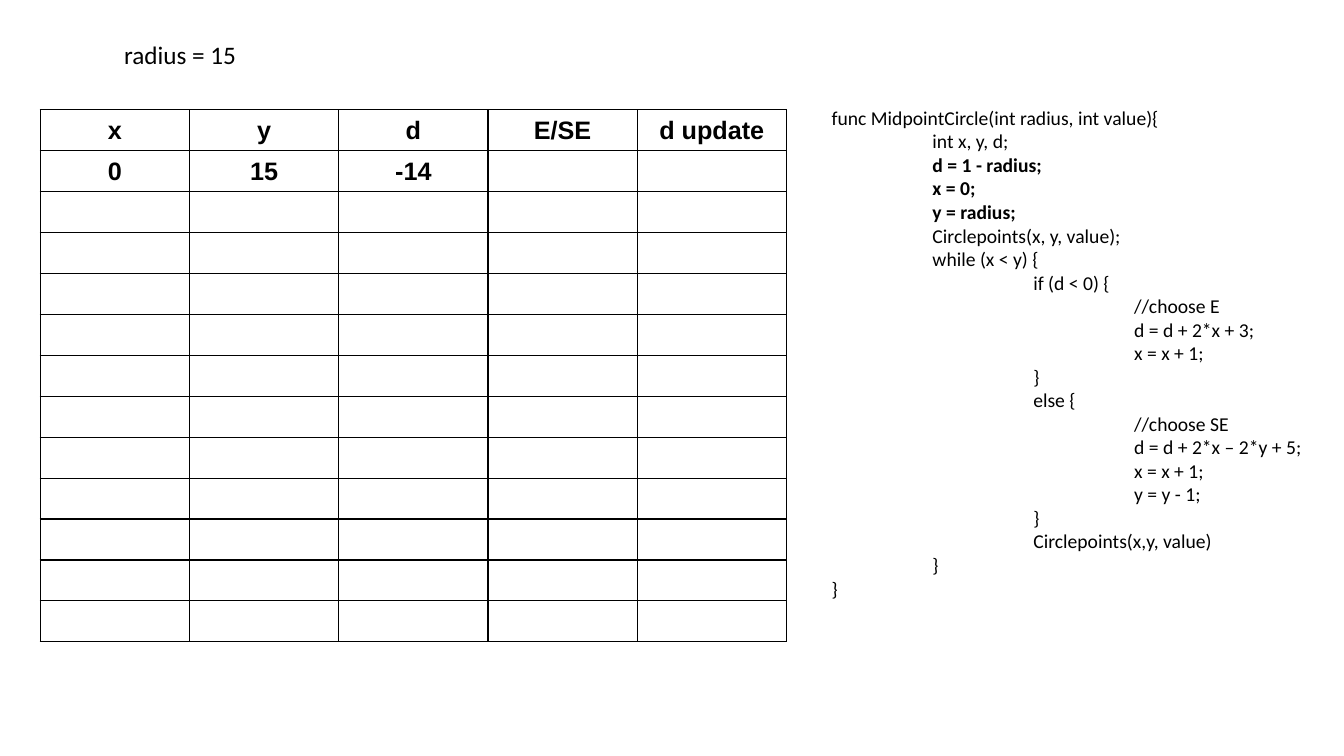
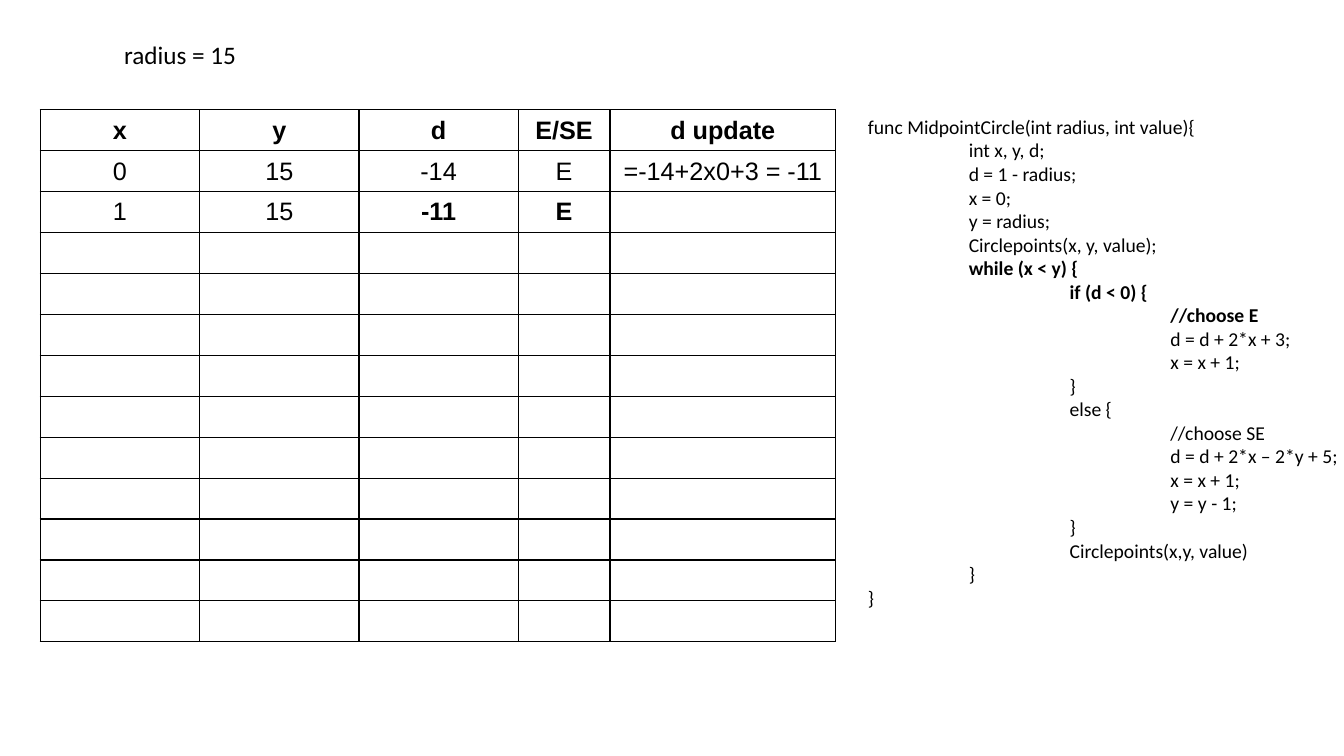
from lxml import etree
from pptx import Presentation
from pptx.dml.color import RGBColor
from pptx.enum import text
from pptx.oxml import ns
from pptx.util import Inches, Pt

BLACK = "000000"
CODE_FONT, TABLE_FONT = "Calibri", "Arial"
TITLE = "radius = 15"
HEADER = ["x", "y", "d", "E/SE", "d update"]
ROW_COUNT, TABLE_HEIGHT = 13, 5.28
CODE_TABS = [1, 2, 3]
CODE = """func MidpointCircle(int radius, int value){
\tint x, y, d;
\td = 1 - radius;
\tx = 0;
\ty = radius;
\tCirclepoints(x, y, value);
\twhile (x < y) {
\t\tif (d < 0) {
\t\t\t//choose E
\t\t\td = d + 2*x + 3;
\t\t\tx = x + 1;
\t\t}
\t\telse {
\t\t\t//choose SE
\t\t\td = d + 2*x – 2*y + 5;
\t\t\tx = x + 1;
\t\t\ty = y - 1;
\t\t}
\t\tCirclepoints(x,y, value)
\t}
}""".split("\n")

# Bold cells are (row, column); bold lines are indexes into CODE.
STEPS = [
    {
        "columns": [1.48] * 5,
        "rows": [["0", "15", "-14"]],
        "bold_cells": {(1, 0), (1, 1), (1, 2)},
        "code_at": (8.15, 1.0),
        "bold_lines": range(2, 5),
    },
    {
        "columns": [1.58, 1.58, 1.58, 0.91, 2.24],
        "rows": [["0", "15", "-14", "E", "=-14+2x0+3 = -11"],
                 ["1", "15", "-11", "E"]],
        "bold_cells": {(2, 2), (2, 3)},
        "code_at": (8.51, 1.09),
        "bold_lines": range(6, 9),
    },
]


def color(value):
    return RGBColor.from_string(value)


def format_paragraph(paragraph, font_name, size, bold=False):
    font = paragraph.font
    font.name, font.size, font.bold = font_name, Pt(size), bold
    font.color.rgb = color(BLACK)


def add_tab_stops(paragraph):
    properties = paragraph._p.get_or_add_pPr()
    tab_list = etree.SubElement(properties, ns.qn("a:tabLst"))
    for position in CODE_TABS:
        etree.SubElement(tab_list, ns.qn("a:tab"), pos=str(Inches(position)), algn="l")


def add_borders(cell):
    properties = cell._tc.get_or_add_tcPr()
    for side in ("lnL", "lnR", "lnT", "lnB"):
        line = etree.SubElement(properties, ns.qn(f"a:{side}"), w=str(Pt(1)))
        fill = etree.SubElement(line, ns.qn("a:solidFill"))
        etree.SubElement(fill, ns.qn("a:srgbClr"), val=BLACK)


def set_title(slide):
    title = slide.shapes.title
    title.left, title.top = Inches(1.13), Inches(0.34)
    title.width, title.height = Inches(1.33), Inches(0.4)
    frame = title.text_frame
    frame.text = TITLE
    frame.word_wrap = False
    frame.auto_size = text.MSO_AUTO_SIZE.NONE
    frame.vertical_anchor = text.MSO_ANCHOR.TOP
    paragraph = frame.paragraphs[0]
    paragraph.alignment = text.PP_ALIGN.LEFT
    format_paragraph(paragraph, CODE_FONT, 18)


def add_code(slide, position, bold_lines):
    left, top = position
    box = slide.shapes.add_textbox(Inches(left), Inches(top), Inches(5.12), Inches(5.28))
    frame = box.text_frame
    frame.word_wrap = True
    frame.text = "\n".join(CODE)
    for index, paragraph in enumerate(frame.paragraphs):
        add_tab_stops(paragraph)
        format_paragraph(paragraph, CODE_FONT, 14, index in bold_lines)


def add_trace_table(slide, columns, rows, bold_cells):
    frame = slide.shapes.add_table(ROW_COUNT, len(columns), Inches(0.4), Inches(1.09),
                                   Inches(sum(columns)), Inches(TABLE_HEIGHT))
    table = frame.table
    table.first_row = table.horz_banding = False
    for column, width in zip(table.columns, columns):
        column.width = Inches(width)
    values = [HEADER] + rows
    for row_index, row in enumerate(table.rows):
        row_values = values[row_index] if row_index < len(values) else []
        for column_index, cell in enumerate(row.cells):
            add_borders(cell)
            cell.fill.background()
            cell.vertical_anchor = text.MSO_ANCHOR.MIDDLE
            if column_index < len(row_values):
                cell.text = row_values[column_index]
            paragraph = cell.text_frame.paragraphs[0]
            paragraph.alignment = text.PP_ALIGN.CENTER
            bold = row_index == 0 or (row_index, column_index) in bold_cells
            format_paragraph(paragraph, TABLE_FONT, 18, bold)


def main():
    presentation = Presentation()
    presentation.slide_width, presentation.slide_height = Inches(13.33), Inches(7.5)
    title_only = presentation.slide_layouts[5]
    for step in STEPS:
        slide = presentation.slides.add_slide(title_only)
        set_title(slide)
        add_code(slide, step["code_at"], step["bold_lines"])
        add_trace_table(slide, step["columns"], step["rows"], step["bold_cells"])
    presentation.save("out.pptx")


if __name__ == "__main__":
    main()
